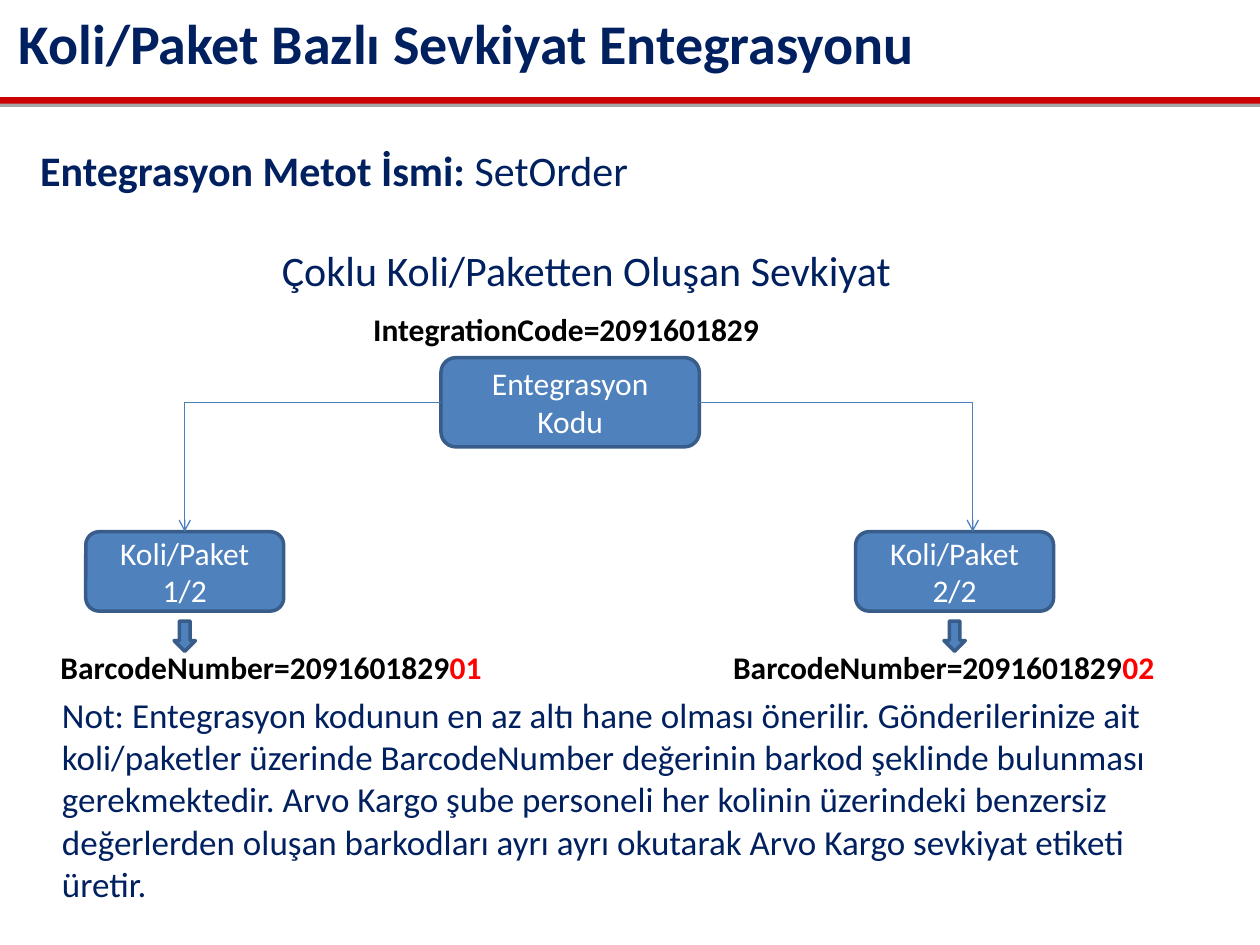
from lxml.etree import SubElement
from pptx import Presentation
from pptx.dml.color import RGBColor
from pptx.enum.shapes import MSO_CONNECTOR, MSO_SHAPE
from pptx.enum.text import MSO_ANCHOR, PP_ALIGN
from pptx.oxml.ns import qn
from pptx.util import Cm, Pt

NAVY = RGBColor(0x00, 0x20, 0x60)
RED = RGBColor(0xFF, 0x00, 0x00)
RULE_RED = RGBColor(0xCC, 0x00, 0x00)
BLUE = RGBColor(0x4F, 0x81, 0xBD)
OUTLINE = RGBColor(0x38, 0x5D, 0x8A)
CONNECTOR_BLUE = RGBColor(0x4A, 0x7E, 0xBB)
BLACK = RGBColor(0x00, 0x00, 0x00)
WHITE = RGBColor(0xFF, 0xFF, 0xFF)
FONT = "Calibri"

# Content: a run is (text, bold, colour); boxes are left, top, width, height in cm
TITLE = "Koli/Paket Bazlı Sevkiyat Entegrasyonu"
METHOD = [("Entegrasyon Metot İsmi: ", True, NAVY), ("SetOrder", False, NAVY)]
SUBTITLE = [("Çoklu Koli/Paketten Oluşan Sevkiyat", False, NAVY)]
CODE = "2091601829"
ROOT = ("Entegrasyon Kodu", (8.89, 7.21, 5.21, 1.8))
NOTE = (
    "Not: Entegrasyon kodunun en az altı hane olması önerilir. Gönderilerinize ait "
    "koli/paketler üzerinde BarcodeNumber değerinin barkod şeklinde bulunması "
    "gerekmektedir. Arvo Kargo şube personeli her kolinin üzerindeki benzersiz "
    "değerlerden oluşan barkodları ayrı ayrı okutarak Arvo Kargo sevkiyat etiketi üretir."
)
# Parcel: label, box left, barcode suffix, barcode left, connector end, side of root
PARCELS = [
    ("1/2", 1.73, "01", 0.97, 3.72, 1),
    ("2/2", 17.25, "02", 14.53, 19.61, 3),
]
PARCEL_TOP, PARCEL_WIDTH, PARCEL_HEIGHT = 10.72, 3.99, 1.6
ARROW_TOP, ARROW_WIDTH, ARROW_HEIGHT = 12.52, 0.43, 0.61

presentation = Presentation()
presentation.slide_width, presentation.slide_height = Cm(25.4), Cm(19.05)
slide = presentation.slides.add_slide(presentation.slide_layouts[6])


def fill_paragraph(paragraph, runs, size, align=PP_ALIGN.LEFT):
    paragraph.alignment = align
    for text, bold, color in runs:
        run = paragraph.add_run()
        run.text = text
        run.font.name, run.font.size = FONT, Pt(size)
        run.font.bold, run.font.color.rgb = bold, color


def add_text(box, paragraphs, size, inset=(0.25, 0.13)):
    """Add a text box; each paragraph is (runs, alignment)."""
    text_frame = slide.shapes.add_textbox(*map(Cm, box)).text_frame
    text_frame.word_wrap = True
    text_frame.margin_left = text_frame.margin_right = Cm(inset[0])
    text_frame.margin_top = text_frame.margin_bottom = Cm(inset[1])
    for index, (runs, align) in enumerate(paragraphs):
        paragraph = text_frame.add_paragraph() if index else text_frame.paragraphs[0]
        fill_paragraph(paragraph, runs, size, align)
    return text_frame


def add_block(kind, box, lines=(), fill=BLUE, outline=OUTLINE):
    """Add a filled shape with centred white lines."""
    shape = slide.shapes.add_shape(kind, *map(Cm, box))
    shape.shadow.inherit = False
    shape.fill.solid()
    shape.fill.fore_color.rgb = fill
    if outline is None:
        shape.line.fill.background()
    else:
        shape.line.color.rgb = outline
        shape.line.width = Pt(2)
    text_frame = shape.text_frame
    text_frame.word_wrap = True
    text_frame.vertical_anchor = MSO_ANCHOR.MIDDLE
    for index, line in enumerate(lines):
        paragraph = text_frame.add_paragraph() if index else text_frame.paragraphs[0]
        fill_paragraph(paragraph, [(line, False, WHITE)], 18, PP_ALIGN.CENTER)
    return shape


def add_branch(root, side, end_x, end_y):
    """Add a one-bend arrow from a side of the root box."""
    connector = slide.shapes.add_connector(
        MSO_CONNECTOR.ELBOW, 0, 0, Cm(end_x), Cm(end_y))
    connector.begin_connect(root, side)
    connector.line.color.rgb = CONNECTOR_BLUE
    connector.line.width = Pt(0.75)
    properties = connector._element.spPr
    properties.find(qn("a:prstGeom")).set("prst", "bentConnector2")
    SubElement(properties.find(qn("a:ln")), qn("a:tailEnd"), type="arrow")
    SubElement(properties, qn("a:effectLst"))
    return connector


# Header rule with a soft shadow, and title
rule = add_block(MSO_SHAPE.RECTANGLE, (0, 1.96, 25.4, 0.13), fill=RULE_RED, outline=None)
shadow = SubElement(rule._element.spPr.find(qn("a:effectLst")), qn("a:outerShdw"),
                    dist=str(Pt(1.8)), dir="5400000", rotWithShape="0")
shadow_color = SubElement(shadow, qn("a:srgbClr"), val="000000")
SubElement(shadow_color, qn("a:alpha"), val="35000")
add_text((0.1, 0.03, 24.61, 1.65), [([(TITLE, True, NAVY)], PP_ALIGN.LEFT)], 32, (0.28, 0.15))

# Method name and subtitle
intro = add_text((0.53, 2.77, 22.58, 3.33),
                 [(METHOD, PP_ALIGN.LEFT), (SUBTITLE, PP_ALIGN.CENTER)], 24, (0.28, 0.15))
intro.paragraphs[1].space_before = Pt(28)

# Integration code at the top of the tree
add_text((7.11, 6.12, 8.61, 1.02),
         [([(f"IntegrationCode={CODE}", True, BLACK)], PP_ALIGN.CENTER)], 18)
root = add_block(MSO_SHAPE.ROUNDED_RECTANGLE, ROOT[1], [ROOT[0]])

# Parcels with their branches, arrows and barcodes
for label, left, suffix, barcode_left, end_x, side in PARCELS:
    parcel = add_block(MSO_SHAPE.ROUNDED_RECTANGLE,
                       (left, PARCEL_TOP, PARCEL_WIDTH, PARCEL_HEIGHT), ["Koli/Paket", label])
    branch = add_branch(root, side, end_x, PARCEL_TOP)
    if abs(end_x - left - PARCEL_WIDTH / 2) < 0.05:
        branch.end_connect(parcel, 0)
    arrow_left = left + (PARCEL_WIDTH - ARROW_WIDTH) / 2
    add_block(MSO_SHAPE.DOWN_ARROW, (arrow_left, ARROW_TOP, ARROW_WIDTH, ARROW_HEIGHT))
    barcode = [(f"BarcodeNumber={CODE}", True, BLACK), (suffix, True, RED)]
    add_text((barcode_left, 12.93, 9.14, 1.02), [(barcode, PP_ALIGN.LEFT)], 18)

# Note
add_text((0.97, 13.84, 22.58, 4.52), [([(NOTE, False, NAVY)], PP_ALIGN.LEFT)], 20, (0.28, 0.15))

presentation.save("out.pptx")
